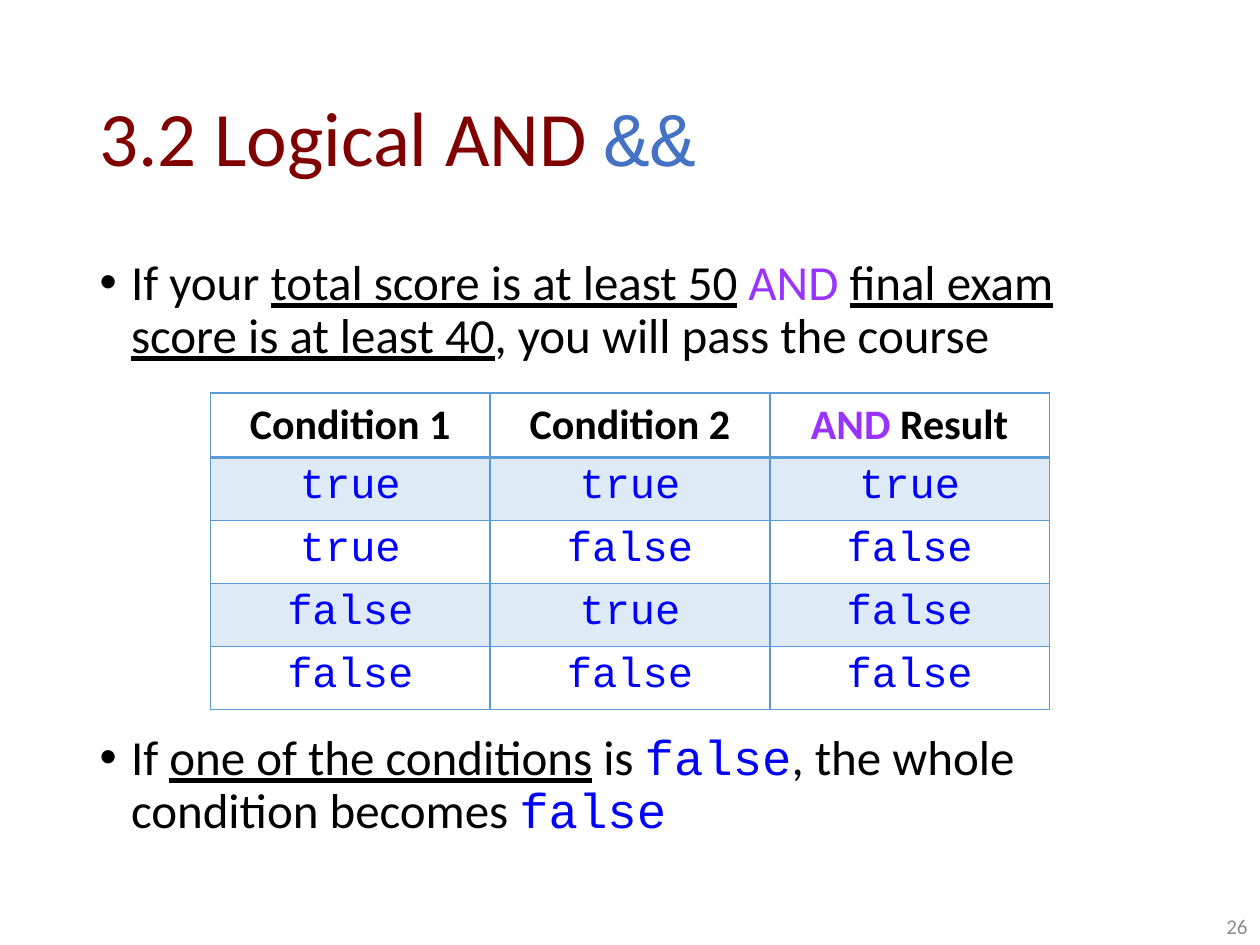
"""Build the slide that explains the logical AND operator with a truth table."""
import pptx
import pptx.dml.color
import pptx.enum.text
import pptx.oxml
import pptx.oxml.ns
import pptx.util

Inches, Pt = pptx.util.Inches, pptx.util.Pt
ALIGN, ANCHOR = pptx.enum.text.PP_ALIGN, pptx.enum.text.MSO_ANCHOR

STYLES = {
    "plain": {"color": "000000"},
    "underlined": {"color": "000000", "underline": True},
    "header": {"color": "000000", "bold": True},
    "heading": {"color": "800000"},
    "operator": {"color": "4472C4", "font": "Courier New"},
    "keyword": {"color": "9933FF"},
    "header keyword": {"color": "9933FF", "bold": True},
    "code": {"color": "0000FF", "font": "Courier New"},
    "number": {"color": "8C8C8C"},
}
TITLE = [("3.2 Logical AND ", "heading"), ("&&", "operator")]
BULLETS = [
    [("If your ", "plain"), ("total score is at least 50", "underlined"),
     (" ", "plain"), ("AND ", "keyword"),
     ("final exam score is at least 40", "underlined"),
     (", you will pass the course", "plain")],
    [("If ", "plain"), ("one of the conditions", "underlined"),
     (" is ", "plain"), ("false", "code"),
     (", the whole condition becomes ", "plain"), ("false", "code")],
]
HEADERS = [
    [("Condition 1", "header")],
    [("Condition 2", "header")],
    [("AND", "header keyword"), (" Result", "header")],
]
OPERANDS = [("true", "true"), ("true", "false"), ("false", "true"), ("false", "false")]
PAGE_NUMBER = "26"

BORDER, BAND = "5B9BD5", "DEEBF7"
TABLE_GAP = 211
COLUMN_WIDTH, HEADER_HEIGHT, ROW_HEIGHT = 2.22, 0.51, 0.48


def rgb(value):
    return pptx.dml.color.RGBColor.from_string(value)


def place(box, left, top, width, height):
    box.left, box.top = Inches(left), Inches(top)
    box.width, box.height = Inches(width), Inches(height)


def write(paragraph, spans, size, align=ALIGN.LEFT):
    paragraph.alignment = align
    for text, name in spans:
        style = STYLES[name]
        span = paragraph.add_run()
        span.text = text
        span.font.size = Pt(size)
        span.font.name = style.get("font", "Calibri")
        span.font.color.rgb = rgb(style["color"])
        span.font.bold = style.get("bold", False)
        span.font.underline = style.get("underline", False)


def add_border(cell, side, width):
    cell._tc.get_or_add_tcPr().append(pptx.oxml.parse_xml(
        f'<a:ln{side} {pptx.oxml.ns.nsdecls("a")} w="{Pt(width)}"><a:solidFill>'
        f'<a:srgbClr val="{BORDER}"/></a:solidFill></a:ln{side}>'))


def add_title(page):
    box = page.shapes.title
    place(box, 0.69, 0.4, 8.62, 1.45)
    frame = box.text_frame
    frame.vertical_anchor = ANCHOR.MIDDLE
    frame.auto_size = pptx.enum.text.MSO_AUTO_SIZE.NONE
    frame.paragraphs[0].line_spacing = 0.9
    write(frame.paragraphs[0], TITLE, 44)


def add_bullets(page):
    box = page.placeholders[1]
    place(box, 0.69, 2, 8.62, 4.76)
    frame = box.text_frame
    frame.auto_size = pptx.enum.text.MSO_AUTO_SIZE.NONE
    for index, spans in enumerate(BULLETS):
        paragraph = frame.add_paragraph() if index else frame.paragraphs[0]
        properties = paragraph._p.get_or_add_pPr()
        properties.set("marL", str(Inches(0.25)))
        properties.set("indent", str(Inches(-0.25)))
        paragraph.line_spacing = 0.9
        paragraph.space_before = Pt(TABLE_GAP * index)
        write(paragraph, spans, 28)


def add_truth_table(page):
    results = ["true" if pair == ("true", "true") else "false" for pair in OPERANDS]
    rows = [HEADERS] + [[[(value, "code")] for value in (*pair, result)]
                        for pair, result in zip(OPERANDS, results)]
    heights = [HEADER_HEIGHT] + [ROW_HEIGHT] * len(OPERANDS)
    table = page.shapes.add_table(
        len(rows), len(HEADERS), Inches(1.67), Inches(3.12),
        Inches(COLUMN_WIDTH * len(HEADERS)), Inches(sum(heights))).table
    for column in table.columns:
        column.width = Inches(COLUMN_WIDTH)
    for row_index, (row, height) in enumerate(zip(rows, heights)):
        table.rows[row_index].height = Inches(height)
        for column_index, spans in enumerate(row):
            cell = table.cell(row_index, column_index)
            write(cell.text_frame.paragraphs[0], spans, 24, ALIGN.CENTER)
            for side in "LRTB":
                heavy = (row_index, side) in ((0, "B"), (1, "T"))
                add_border(cell, side, 2 if heavy else 1)
            if row_index % 2:
                cell.fill.solid()
                cell.fill.fore_color.rgb = rgb(BAND)
            else:
                cell.fill.background()


def add_page_number(page):
    box = page.shapes.add_textbox(Inches(7.75), Inches(7.1), Inches(2.25), Inches(0.4))
    frame = box.text_frame
    frame.word_wrap = True
    frame.vertical_anchor = ANCHOR.BOTTOM
    write(frame.paragraphs[0], [(PAGE_NUMBER, "number")], 12, ALIGN.RIGHT)
    frame.margin_right = Inches(0.1)


def main():
    deck = pptx.Presentation()
    deck.slide_width, deck.slide_height = Inches(10), Inches(7.5)
    page = deck.slides.add_slide(deck.slide_layouts[1])
    add_title(page)
    add_bullets(page)
    add_page_number(page)
    add_truth_table(page)
    deck.save("out.pptx")


if __name__ == "__main__":
    main()
